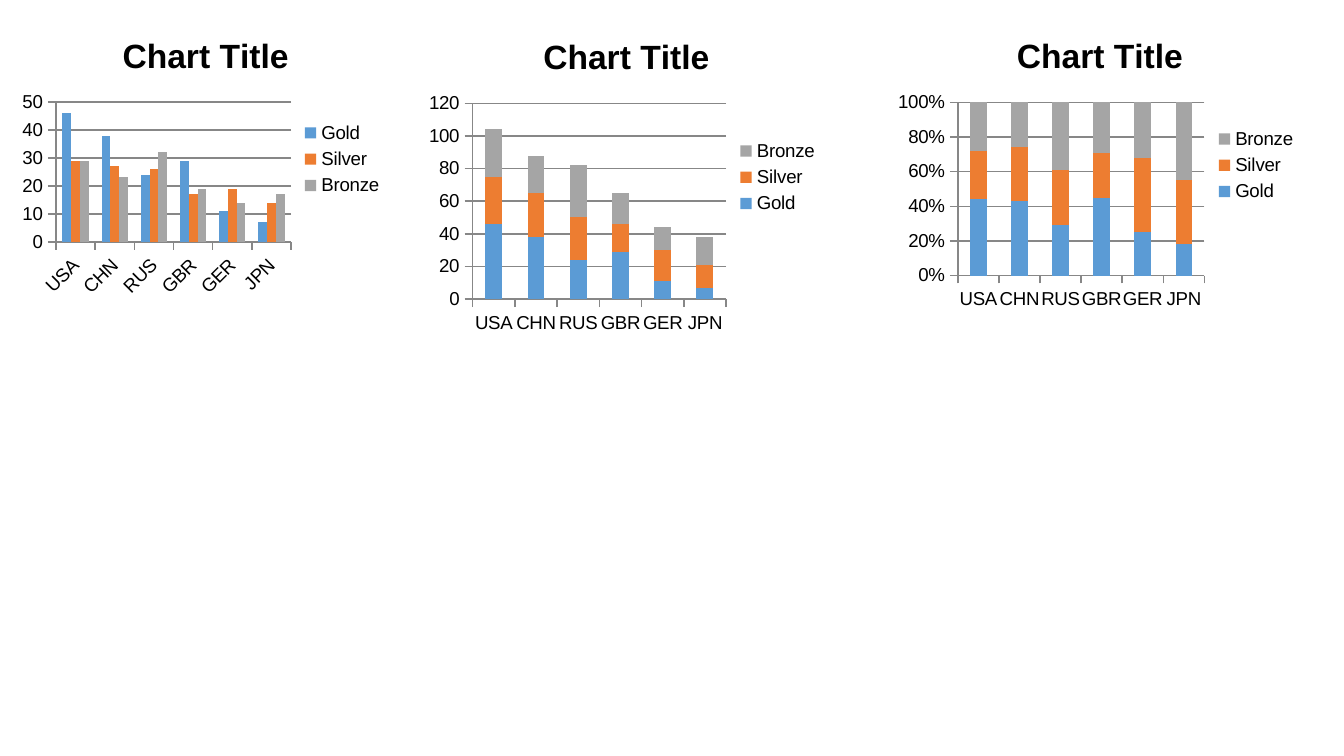
import pptx
import pptx.chart.data
import pptx.dml.color
import pptx.enum.chart
import pptx.util

Pt = pptx.util.Pt
ChartType = pptx.enum.chart.XL_CHART_TYPE

COLORS = {
    "Gold": "5B9BD5",
    "Silver": "ED7D31",
    "Bronze": "A5A5A5",
    "text": "000000",
    "line": "878787",
}
LABEL_FORMAT = {"name": "Arial", "size": Pt(10), "bold": False}
TITLE_FORMAT = {"name": "Arial", "size": Pt(18), "bold": True}

COUNTRIES = ["USA", "CHN", "RUS", "GBR", "GER", "JPN"]
MEDALS = {
    "Gold": [46, 38, 24, 29, 11, 7],
    "Silver": [29, 27, 26, 17, 19, 14],
    "Bronze": [29, 23, 32, 19, 14, 17],
}
MEDAL_SHARES = {
    "Gold": [44, 43, 29, 45, 25, 18],
    "Silver": [28, 31, 32, 26, 43, 37],
    "Bronze": [28, 26, 39, 29, 32, 45],
}
CHART_TOP = 7.92

# type, values, left, width, height, overlap, axis number format
CHARTS = [
    (ChartType.COLUMN_CLUSTERED, MEDALS, 7.92, 204.5, 154.8, 0, "General"),
    (ChartType.COLUMN_STACKED, MEDALS, 225.4, 220.3, 174.2, 100, "General"),
    (ChartType.COLUMN_STACKED_100, MEDAL_SHARES, 476.6, 225.4, 161.3, 100, "0%"),
]


def rgb(name):
    return pptx.dml.color.RGBColor.from_string(COLORS[name])


def format_font(font, values):
    for attribute, value in values.items():
        setattr(font, attribute, value)
    font.color.rgb = rgb("text")


def format_line(line):
    line.color.rgb = rgb("line")
    line.width = Pt(0.75)


def format_title(chart):
    chart.has_title = True
    text_frame = chart.chart_title.text_frame
    text_frame.text = "Chart Title"
    format_font(text_frame.paragraphs[0].runs[0].font, TITLE_FORMAT)
    chart.chart_title.include_in_layout = False


def format_legend(chart):
    chart.has_legend = True
    chart.legend.position = pptx.enum.chart.XL_LEGEND_POSITION.RIGHT
    chart.legend.include_in_layout = False


def format_axes(chart, number_format):
    for axis in (chart.category_axis, chart.value_axis):
        axis.major_tick_mark = pptx.enum.chart.XL_TICK_MARK.OUTSIDE
        axis.minor_tick_mark = pptx.enum.chart.XL_TICK_MARK.NONE
        format_line(axis.format.line)
    chart.category_axis.has_major_gridlines = False
    chart.value_axis.has_major_gridlines = True
    format_line(chart.value_axis.major_gridlines.format.line)
    tick_labels = chart.value_axis.tick_labels
    tick_labels.number_format = number_format
    tick_labels.number_format_is_linked = False


def format_columns(chart, overlap):
    plot = chart.plots[0]
    plot.gap_width = 150
    plot.overlap = overlap
    plot.vary_by_categories = False
    for series in plot.series:
        series.format.fill.solid()
        series.format.fill.fore_color.rgb = rgb(series.name)
        series.invert_if_negative = False


def add_medal_chart(slide, chart_type, medals, left, width, height, overlap, number_format):
    data = pptx.chart.data.CategoryChartData()
    data.categories = COUNTRIES
    for medal, values in medals.items():
        data.add_series(medal, values)
    chart = slide.shapes.add_chart(
        chart_type, Pt(left), Pt(CHART_TOP), Pt(width), Pt(height), data
    ).chart
    format_font(chart.font, LABEL_FORMAT)
    format_title(chart)
    format_legend(chart)
    format_axes(chart, number_format)
    format_columns(chart, overlap)


def main():
    presentation = pptx.Presentation()
    presentation.slide_width = Pt(720)
    presentation.slide_height = Pt(405)
    blank_layout = presentation.slide_layouts[6]
    slide = presentation.slides.add_slide(blank_layout)
    for chart_values in CHARTS:
        add_medal_chart(slide, *chart_values)
    presentation.save("out.pptx")


if __name__ == "__main__":
    main()
